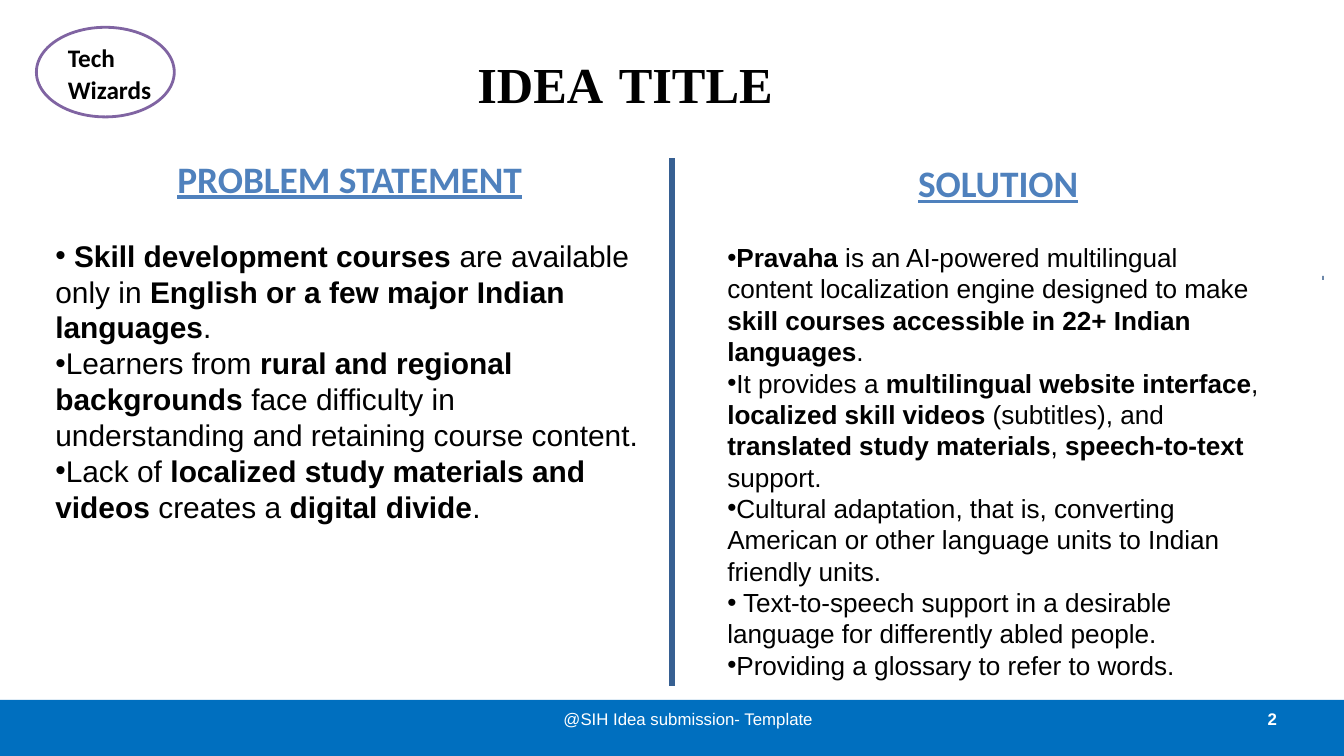
from dataclasses import dataclass
from typing import Optional

from lxml.etree import SubElement
from pptx import Presentation
from pptx.dml.color import RGBColor
from pptx.enum.shapes import MSO_CONNECTOR as Connector, MSO_SHAPE as Preset
from pptx.enum.text import MSO_ANCHOR as Anchor, PP_ALIGN as Align
from pptx.oxml.ns import qn
from pptx.util import Pt

EMU_PER_PX = 9525


@dataclass(frozen=True)
class Theme:
    black: str = "000000"
    white: str = "FFFFFF"
    heading: str = "4F81BD"
    band: str = "006FBF"
    divider: str = "376092"
    oval: str = "8064A2"
    mark: str = "1F497D"
    sans: str = "Arial"
    humanist: str = "Calibri"
    serif: str = "Times New Roman"
    title_size: int = 54
    heading_size: int = 40
    team_size: int = 27
    footer_size: int = 18
    heading_gap: int = 39
    bullet_leading: float = 1.2


@dataclass(frozen=True)
class Box:
    left: int
    top: int
    width: int
    height: int


@dataclass(frozen=True)
class Column:
    heading: str
    box: Box
    size: int
    bullets: tuple[str, ...]


THEME = Theme()

COLUMNS = (
    Column("PROBLEM STATEMENT", Box(69, 218, 861, 643), 32, (
        " **Skill development courses** are available only in "
        "**English or a few major Indian languages**.",
        "Learners from **rural and regional backgrounds** face difficulty in "
        "understanding and retaining course content.",
        "Lack of **localized study materials and videos** creates a **digital divide**.",
    )),
    Column("SOLUTION", Box(1029, 224, 794, 770), 28, (
        "**Pravaha** is an AI-powered multilingual content localization engine "
        "designed to make **skill courses accessible in 22+ Indian languages**.",
        "It provides a **multilingual website interface**, **localized skill videos** "
        "(subtitles), and **translated study materials**, **speech-to-text** support.",
        "Cultural adaptation, that is, converting American or other language units "
        "to Indian friendly units.",
        " Text-to-speech support in a desirable language for differently abled people.",
        "Providing a glossary to refer to words.",
    )),
)


def px(length: int) -> int:
    return length * EMU_PER_PX


def place(box: Box) -> tuple[int, ...]:
    return tuple(px(n) for n in (box.left, box.top, box.width, box.height))


def add_frame(slide, box: Box, left: int = 0, top: int = 0, right: int = 0):
    frame = slide.shapes.add_textbox(*place(box)).text_frame
    frame.word_wrap = True
    frame.vertical_anchor = Anchor.TOP
    frame.margin_left, frame.margin_top = px(left), px(top)
    frame.margin_right, frame.margin_bottom = px(right), 0
    return frame


def write(frame, text: str, *, size: int, font: str, color: str = THEME.black,
          bold: bool = False, underline: bool = False, align: Align = Align.LEFT,
          leading: Optional[float] = None, after: int = 0,
          bullet: bool = False, tab: Optional[int] = None) -> None:
    paragraph = frame.paragraphs[0]
    if paragraph.runs:
        paragraph = frame.add_paragraph()
    paragraph.alignment = align
    properties = paragraph._p.get_or_add_pPr()
    if bullet:
        SubElement(properties, qn("a:buFont"), typeface=THEME.sans)
        SubElement(properties, qn("a:buChar"), char="•")
    if tab is not None:
        tabs = SubElement(properties, qn("a:tabLst"))
        SubElement(tabs, qn("a:tab"), pos=str(px(tab)), algn="l")
    if leading is not None:
        paragraph.line_spacing = Pt(leading)
    paragraph.space_after = Pt(after)
    for index, part in enumerate(text.split("**")):
        if part:
            run = paragraph.add_run()
            run.text = part
            run.font.size = Pt(size)
            run.font.name = font
            run.font.bold = bold or index % 2 == 1
            run.font.underline = underline
            run.font.color.rgb = RGBColor.from_string(color)


def add_block(slide, preset: Preset, box: Box, *, fill: Optional[str] = None,
              line: Optional[str] = None, line_width: int = 0) -> None:
    shape = slide.shapes.add_shape(preset, *place(box))
    shape.shadow.inherit = False
    if fill:
        shape.fill.solid()
        shape.fill.fore_color.rgb = RGBColor.from_string(fill)
    else:
        shape.fill.background()
    if line:
        shape.line.color.rgb = RGBColor.from_string(line)
        shape.line.width = Pt(line_width)
    else:
        shape.line.fill.background()


def add_divider(slide, x: int, top: int, bottom: int) -> None:
    divider = slide.shapes.add_connector(
        Connector.STRAIGHT, px(x), px(top), px(x), px(bottom))
    divider.line.color.rgb = RGBColor.from_string(THEME.divider)
    divider.line.width = Pt(6)
    SubElement(divider._element.spPr, qn("a:effectLst"))


def add_column(slide, column: Column) -> None:
    frame = add_frame(slide, column.box, left=10, top=5, right=10)
    write(frame, column.heading, size=THEME.heading_size, font=THEME.humanist,
          color=THEME.heading, bold=True, underline=True, align=Align.CENTER,
          after=THEME.heading_gap)
    for text in column.bullets:
        write(frame, text, size=column.size, font=THEME.sans, bullet=True,
              leading=column.size * THEME.bullet_leading)


def main() -> None:
    presentation = Presentation()
    presentation.slide_width, presentation.slide_height = px(1920), px(1080)
    slide = presentation.slides.add_slide(presentation.slide_layouts[6])

    add_block(slide, Preset.RECTANGLE, Box(0, 1000, 1920, 80), fill=THEME.band)
    title = add_frame(slide, Box(681, 75, 540, 89), left=1, top=1)
    write(title, "IDEA\tTITLE", size=THEME.title_size, font=THEME.serif,
          bold=True, tab=202)
    add_block(slide, Preset.RECTANGLE, Box(1889, 394, 2, 6), fill=THEME.mark)

    add_block(slide, Preset.OVAL, Box(52, 39, 197, 128), line=THEME.oval, line_width=3)
    team = add_frame(slide, Box(96, 58, 165, 91), left=1)
    for word in ("Tech", "Wizards"):
        write(team, word, size=THEME.team_size, font=THEME.humanist, bold=True,
              leading=34.3)

    footer = add_frame(slide, Box(804, 1014, 362, 30), left=1)
    write(footer, "@SIH Idea submission- Template", size=THEME.footer_size,
          font=THEME.sans, color=THEME.white, leading=20.9)
    number = add_frame(slide, Box(1807, 1014, 23, 30), left=4)
    write(number, "2", size=THEME.footer_size, font=THEME.sans, color=THEME.white,
          bold=True, leading=20.9)

    add_divider(slide, 960, 226, 980)
    for column in COLUMNS:
        add_column(slide, column)

    presentation.save("out.pptx")


if __name__ == "__main__":
    main()
